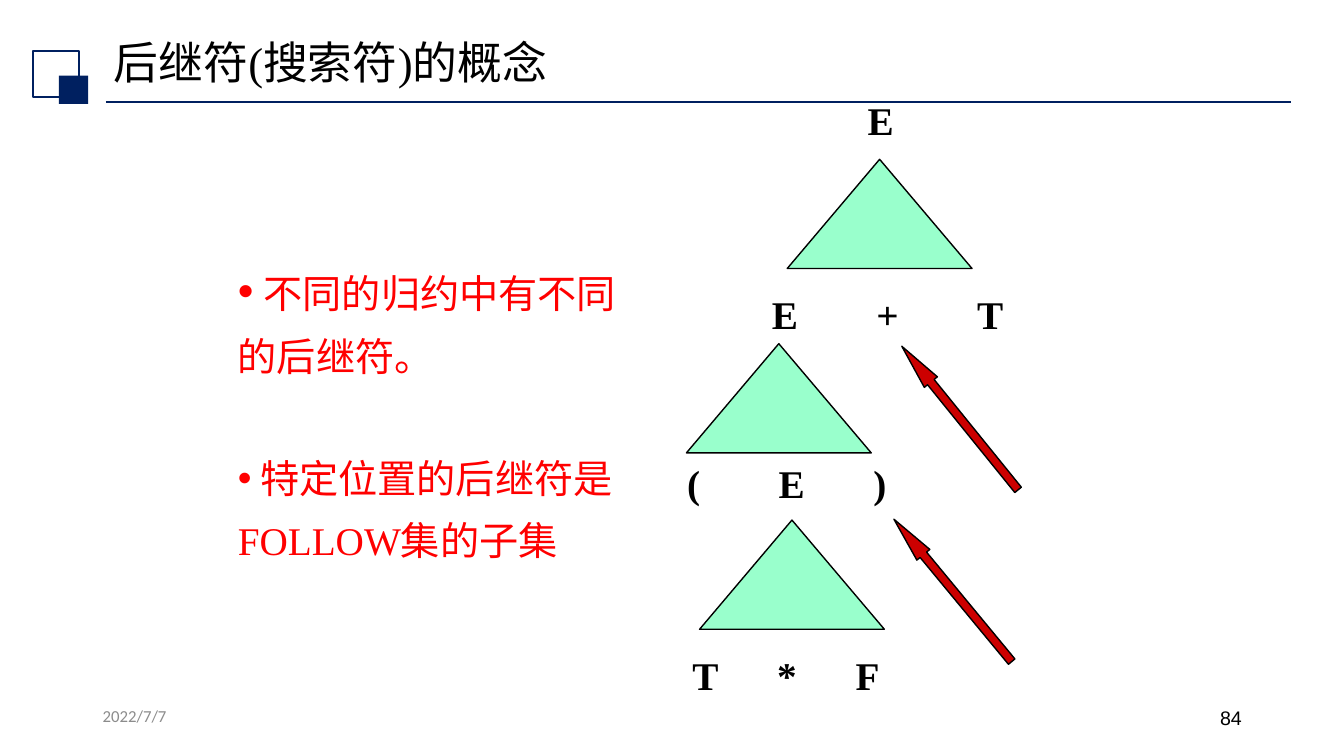
from lxml.etree import SubElement
from pptx import Presentation
from pptx.dml.color import RGBColor
from pptx.enum.shapes import MSO_CONNECTOR, MSO_SHAPE
from pptx.enum.text import MSO_ANCHOR, MSO_AUTO_SIZE, PP_ALIGN
from pptx.oxml.ns import qn
from pptx.util import Pt

SERIF = "Times New Roman"
NAVY, BLACK, RED = "002060", "000000", "FF0000"


def rgb(value):
    return RGBColor.from_string(value)


def place(sp, left, top, width, height):
    sp.left, sp.top, sp.width, sp.height = Pt(left), Pt(top), Pt(width), Pt(height)


def add_run(p, text, size, color=BLACK, font=SERIF, bold=False):
    r = p.add_run()
    r.text = text
    r.font.size, r.font.name, r.font.bold = Pt(size), font, bold
    r.font.color.rgb = rgb(color)


def add_text(s, box, text, size, align=PP_ALIGN.LEFT, **style):
    sp = s.shapes.add_textbox(*map(Pt, box))
    tf = sp.text_frame
    tf.word_wrap = True
    tf.margin_right = Pt(7.2 if align == PP_ALIGN.RIGHT else 0)
    p = tf.paragraphs[0]
    p.alignment = align
    add_run(p, text, size, **style)
    return p


def add_symbols(s, left, top, width, symbols, stops=()):
    """One row of grammar symbols, spread out by tab stops."""
    p = add_text(s, (left, top, width, 41), "\t".join(symbols), 28, bold=True)
    if stops:
        tabs = SubElement(p._p.get_or_add_pPr(), qn("a:tabLst"))
        for stop in stops:
            SubElement(tabs, qn("a:tab"), pos=str(Pt(stop)), algn="l")


def add_shape(s, kind, box, fill=None, line=None, weight=1):
    sp = s.shapes.add_shape(kind, *map(Pt, box))
    sp.shadow.inherit = False
    if fill:
        sp.fill.solid()
        sp.fill.fore_color.rgb = rgb(fill)
    else:
        sp.fill.background()
    if line:
        sp.line.color.rgb = rgb(line)
        sp.line.width = Pt(weight)
    else:
        sp.line.fill.background()
    return sp


def add_triangle(s, left, top):
    add_shape(s, MSO_SHAPE.ISOSCELES_TRIANGLE, (left, top, 132, 78), "99FFCC", BLACK)


def add_arrow(s, left, top, angle):
    sp = add_shape(s, MSO_SHAPE.UP_ARROW, (left, top, 12, 132), "CC0000", BLACK)
    sp.adjustments[0], sp.adjustments[1] = 0.5, 2.75
    sp.rotation = angle


def add_rule(s, x1, x2, y):
    line = s.shapes.add_connector(MSO_CONNECTOR.STRAIGHT, Pt(x1), Pt(y), Pt(x2), Pt(y))
    line.line.color.rgb = rgb(NAVY)
    line.line.width = Pt(1.25)
    SubElement(line._element.spPr, qn("a:effectLst"))


def fill_title(sp, text):
    place(sp, 74, 24.5, 828, 44)
    tf = sp.text_frame
    tf.auto_size = MSO_AUTO_SIZE.NONE
    tf.vertical_anchor = MSO_ANCHOR.MIDDLE
    p = tf.paragraphs[0]
    p.alignment, p.line_spacing = PP_ALIGN.LEFT, 0.9
    add_run(p, text, 32)


def fill_points(sp, points, gap):
    """Each point is a list of (text, size) runs."""
    place(sp, 162.7, 173.5, 312, 232)
    tf = sp.text_frame
    tf.auto_size = MSO_AUTO_SIZE.NONE
    tf.vertical_anchor = MSO_ANCHOR.TOP
    for i, runs in enumerate(points):
        p = tf.add_paragraph() if i else tf.paragraphs[0]
        p.line_spacing, p.space_before = 1.3, Pt(gap if i else 0)
        pPr = p._p.get_or_add_pPr()
        pPr.set("marL", "0")
        pPr.set("indent", "0")
        SubElement(SubElement(pPr, qn("a:buClr")), qn("a:srgbClr"), val=RED)
        SubElement(pPr, qn("a:buChar"), char="•")
        for text, size in runs:
            add_run(p, text, size, RED)


def main():
    prs = Presentation()
    prs.slide_width, prs.slide_height = Pt(960), Pt(540)
    s = prs.slides.add_slide(prs.slide_layouts[1])

    # Heading with its rule and squares
    add_rule(s, 75.6, 922.3, 72.7)
    add_shape(s, MSO_SHAPE.RECTANGLE, (23.8, 36.7, 32.4, 32.4), line=NAVY, weight=1.5)
    add_shape(s, MSO_SHAPE.RECTANGLE, (42, 54, 20.9, 20.2), fill=NAVY)
    fill_title(s.shapes.title, "后继符(搜索符)的概念")

    # Points on the left
    fill_points(s.placeholders[1], [
        [(" ", 32), ("不同的归约中有不同的后继符。", 28)],
        [(" 特定位置的后继符是FOLLOW集的子集", 28)],
    ], gap=44)

    # Derivation tree
    add_symbols(s, 612.7, 65.5, 33, "E")
    add_symbols(s, 544.3, 203.8, 180, "E+T", (74.7, 146.6))
    add_symbols(s, 483.8, 324.7, 157, "(E)", (65.3, 133))
    add_symbols(s, 487.4, 461.5, 156, "T*F", (60.7, 116.7))
    for left, top in ((562.3, 113.8), (490.3, 245.5), (499.7, 371.5)):
        add_triangle(s, left, top)

    # Arrows to the successor symbols
    add_arrow(s, 679.7, 232.6, 321)
    add_arrow(s, 674.6, 355.7, 320.4)

    # Date and slide number
    add_text(s, (66.2, 500.4, 216, 28.8), "2022/7/7", 12, color="8C8C8C", font="Calibri")
    add_text(s, (678.2, 500.4, 216, 28.8), "84", 14, PP_ALIGN.RIGHT, font="Arial")

    prs.save("out.pptx")


if __name__ == "__main__":
    main()
